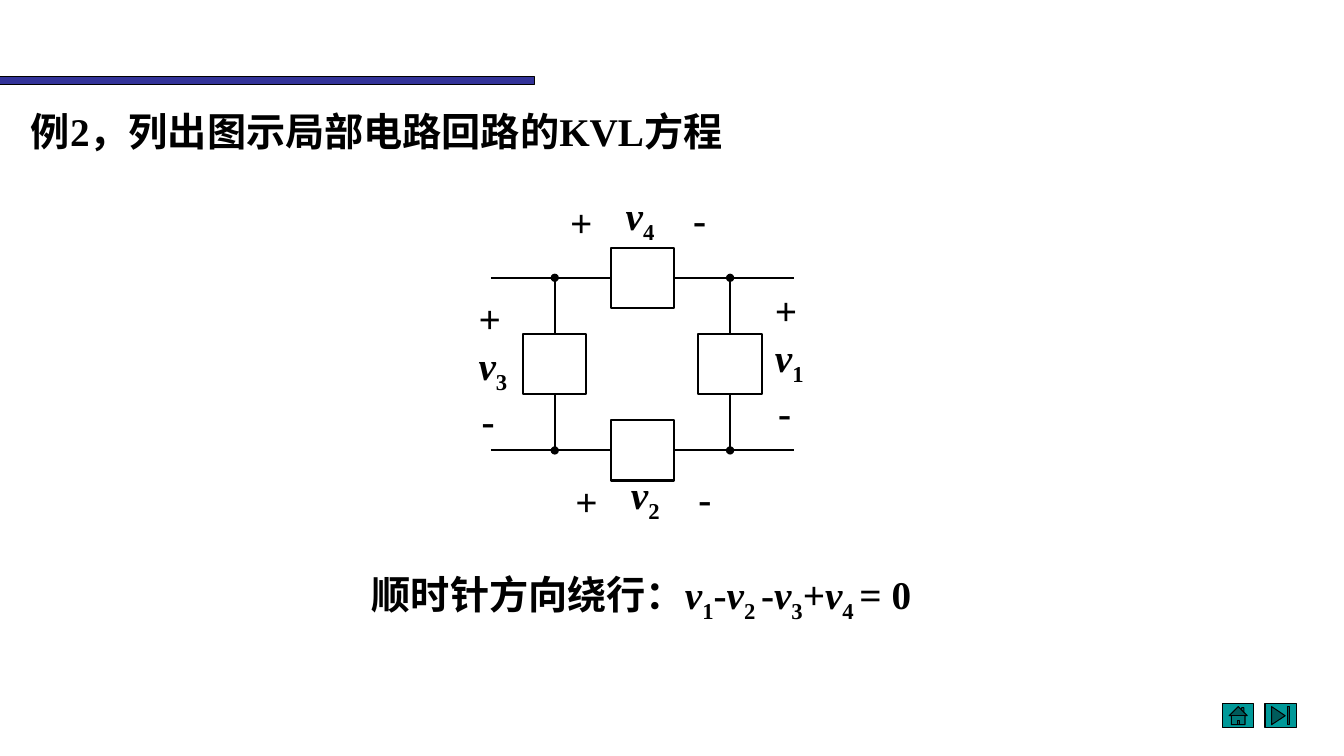
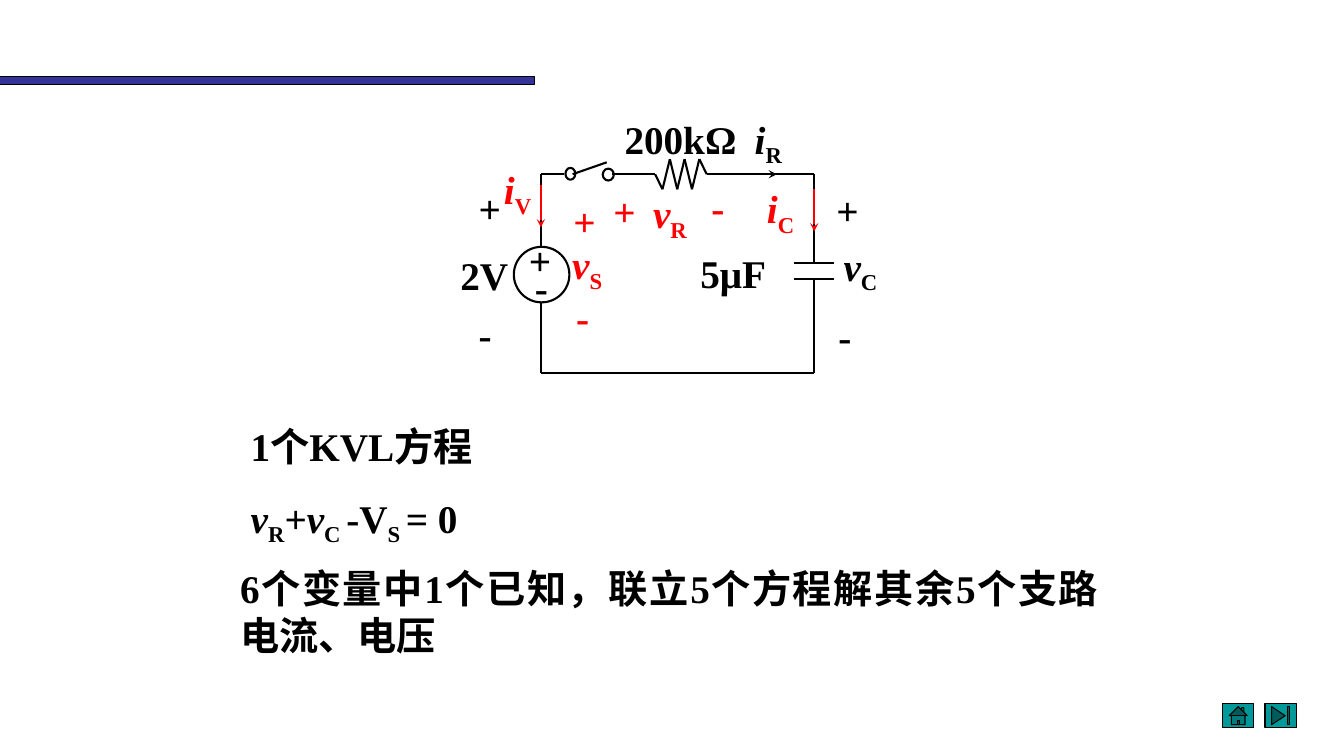
from dataclasses import dataclass
from itertools import pairwise
from typing import NamedTuple

from lxml import etree
from pptx import Presentation
from pptx.dml.color import RGBColor
from pptx.enum.lang import MSO_LANGUAGE_ID
from pptx.enum.shapes import MSO_CONNECTOR, MSO_SHAPE
from pptx.enum.text import MSO_AUTO_SIZE, PP_ALIGN
from pptx.oxml.ns import qn
from pptx.util import Cm, Pt

RECTANGLE = MSO_SHAPE.RECTANGLE
OVAL = MSO_SHAPE.OVAL
HOME_BUTTON = MSO_SHAPE.ACTION_BUTTON_HOME
END_BUTTON = MSO_SHAPE.ACTION_BUTTON_END
STRAIGHT = MSO_CONNECTOR.STRAIGHT
GROW = MSO_AUTO_SIZE.SHAPE_TO_FIT_TEXT
LEFT = PP_ALIGN.LEFT
JUSTIFY = PP_ALIGN.JUSTIFY
CHINESE = MSO_LANGUAGE_ID.SIMPLIFIED_CHINESE

COLORS = {"ink": "000000", "red": "FF0000", "bar": "333399", "button": "009999"}
FONT = "Times New Roman"
FONT_SIZE = Pt(28)
LINE_HEIGHT = 1.45


class Piece(NamedTuple):
    text: str
    italic: bool = False
    subscript: bool = False


def symbol(letter: str, index: str) -> tuple[Piece, ...]:
    return Piece(letter, italic=True), Piece(index, subscript=True)


PLUS = (Piece("+"),)
MINUS = (Piece("-"),)


@dataclass(frozen=True)
class Label:
    pieces: tuple[Piece, ...]
    left: float
    top: float
    width: float
    height: float = LINE_HEIGHT
    color: str = "ink"
    wrap: bool = True
    inset: bool = True
    alignment: PP_ALIGN = LEFT


@dataclass(frozen=True)
class Wire:
    x1: float
    y1: float
    x2: float
    y2: float
    head: str = ""
    tail: str = ""
    color: str = "ink"


@dataclass(frozen=True)
class Outline:
    kind: MSO_SHAPE
    left: float
    top: float
    width: float
    height: float
    fill: str = ""
    weight: float = 1.5


@dataclass(frozen=True)
class Branch:
    index: str
    left: float
    top: float
    vertical: bool

    def labels(self) -> list[Label]:
        if self.vertical:
            offsets = ((0, 0), (0, 1.19), (0.08, 2.57))
        else:
            offsets = ((0, 0.18), (1.4, 0), (3.1, 0.1))
        texts = (PLUS, symbol("v", self.index), MINUS)
        return [
            Label(pieces, self.left + dx, self.top + dy, width, wrap=False)
            for pieces, (dx, dy), width in zip(texts, offsets, (1.07, 1.27, 0.84))
        ]


MASTER_PARTS = [
    Outline(RECTANGLE, 0, 1.93, 13.46, 0.2, "bar", 0.75),
    Outline(HOME_BUTTON, 30.81, 17.73, 0.79, 0.61, "button", 0.75),
    Outline(END_BUTTON, 31.88, 17.73, 0.79, 0.61, "button", 0.75),
]


def rgb(name: str) -> RGBColor:
    return RGBColor.from_string(COLORS[name])


def draw_outline(shapes, outline: Outline):
    shape = shapes.add_shape(outline.kind, Cm(outline.left), Cm(outline.top),
                             Cm(outline.width), Cm(outline.height))
    shape.shadow.inherit = False
    if outline.fill:
        shape.fill.solid()
        shape.fill.fore_color.rgb = rgb(outline.fill)
    else:
        shape.fill.background()
    shape.line.color.rgb = rgb("ink")
    shape.line.width = Pt(outline.weight)
    return shape


def draw_wire(shapes, wire: Wire) -> None:
    connector = shapes.add_connector(STRAIGHT, Cm(wire.x1), Cm(wire.y1),
                                     Cm(wire.x2), Cm(wire.y2))
    connector.line.color.rgb = rgb(wire.color)
    connector.line.width = Pt(1.5)
    properties = connector.element.spPr
    line = properties.find(qn("a:ln"))
    for tag, end in (("a:headEnd", wire.head), ("a:tailEnd", wire.tail)):
        if end:
            etree.SubElement(line, qn(tag), type=end)
    etree.SubElement(properties, qn("a:effectLst"))


def draw_label(shapes, label: Label) -> None:
    box = shapes.add_textbox(Cm(label.left), Cm(label.top),
                             Cm(label.width), Cm(label.height))
    frame = box.text_frame
    frame.word_wrap = label.wrap
    frame.auto_size = GROW
    if not label.inset:
        frame.margin_left = frame.margin_right = 0
        frame.margin_top = frame.margin_bottom = 0
    paragraph = frame.paragraphs[0]
    paragraph.alignment = label.alignment
    for piece in label.pieces:
        run = paragraph.add_run()
        run.text = piece.text
        run.font.name = FONT
        run.font.size = FONT_SIZE
        run.font.bold = True
        run.font.italic = piece.italic
        run.font.color.rgb = rgb(label.color)
        run.font.language_id = CHINESE
        if piece.subscript:
            run._r.get_or_add_rPr().set("baseline", "-25000")


def draw_circuit(shapes, outlines: list[Outline], wires: list[Wire],
                 labels: list[Label]) -> None:
    group = shapes.add_group_shape()
    for outline in outlines:
        draw_outline(group.shapes, outline)
    for wire in wires:
        draw_wire(group.shapes, wire)
    for label in labels:
        draw_label(group.shapes, label)


def fill_master(presentation, slide) -> None:
    tree = presentation.slide_master.element.cSld.spTree
    for number, part in enumerate(MASTER_PARTS, start=101):
        element = draw_outline(slide.shapes, part).element
        element.nvSpPr.cNvPr.set("id", str(number))
        tree.append(element)


def build_loop_slide(slide) -> None:
    draw_label(slide.shapes, Label((Piece("例2，列出图示局部电路回路的KVL方程"),),
                                   0.53, 2.57, 21.79))
    equation = (
        Piece("顺时针方向绕行："), *symbol("v", "1"), Piece("-"), *symbol("v", "2 "),
        Piece("-"), *symbol("v", "3"), Piece("+"), *symbol("v", "4 "), Piece("= 0"),
    )
    draw_label(slide.shapes, Label(equation, 9.12, 14.25, 15.6))

    left, right, top, bottom = 13.98, 18.4, 7.0, 11.35
    stub, half_width, half_height = 1.61, 0.8, 0.76
    middle_x, middle_y = (left + right) / 2, (top + bottom) / 2
    centers = [(middle_x, top), (middle_x, bottom), (left, middle_y), (right, middle_y)]
    elements = [
        Outline(RECTANGLE, x - half_width, y - half_height, 2 * half_width, 2 * half_height)
        for x, y in centers
    ]
    wires = []
    for y in (top, bottom):
        wires += [
            Wire(left - stub, y, left, y, tail="oval"),
            Wire(left, y, middle_x - half_width, y),
            Wire(middle_x + half_width, y, right, y),
            Wire(right, y, right + stub, y, head="oval"),
        ]
    for x in (left, right):
        wires += [
            Wire(x, top, x, middle_y - half_height),
            Wire(x, middle_y + half_height, x, bottom),
        ]
    branches = [
        Branch("4", 14.12, 4.7, False), Branch("2", 14.25, 11.72, False),
        Branch("1", 19.28, 7.09, True), Branch("3", 11.81, 7.29, True),
    ]
    labels = [label for branch in branches for label in branch.labels()]
    draw_circuit(slide.shapes, elements, wires, labels)


def build_capacitor_slide(slide) -> None:
    equation = (
        *symbol("v", "R"), Piece("+"), *symbol("v", "C "), Piece("-V"),
        Piece("S ", subscript=True), Piece("= 0"),
    )
    summary = (Piece("6个变量中1个已知，联立5个方程解其余5个支路电流、电压"),)
    for label in (
        Label((Piece("1个KVL方程"),), 6.07, 10.52, 8.79),
        Label(equation, 6.07, 12.32, 20.19),
        Label(summary, 6.05, 14.22, 21.62, 2.36, inset=False, alignment=JUSTIFY),
    ):
        draw_label(slide.shapes, label)

    left, right, top, bottom = 13.63, 20.52, 4.39, 9.4
    plates, plate_half = (6.63, 7.02), 0.5
    resistor_start, resistor_end, swing = 16.51, 17.81, 0.38
    step = (resistor_end - resistor_start) / 7
    heights = [0, *[swing, -swing] * 3, 0]
    zigzag = [(resistor_start + i * step, top + dy) for i, dy in enumerate(heights)]

    outlines = [
        Outline(OVAL, 14.25, 4.23, 0.25, 0.3),
        Outline(OVAL, 15.19, 4.25, 0.28, 0.3),
        Outline(OVAL, 12.95, 6.22, 1.4, 1.4),
    ]
    wires = [
        Wire(left, top, 14.22, top),
        Wire(15.29, 4.09, 14.43, top),
        Wire(15.42, top, resistor_start, top),
        *[Wire(*start, *end) for start, end in pairwise(zigzag)],
        Wire(resistor_end, top, right, top),
        Wire(18.75, top, 19.58, top, tail="stealth"),
        Wire(left, top, left, 6.2),
        Wire(left, 7.62, left, bottom),
        Wire(left, bottom, right, bottom),
        Wire(right, top, right, plates[0]),
        Wire(right, plates[1], right, bottom),
        *[Wire(right - plate_half, y, right + plate_half, y) for y in plates],
    ]
    labels = [
        Label((Piece("2V"),), 11.35, 6.22, 2.0),
        Label((Piece("200kΩ"),), 15.49, 2.79, 3.86),
        Label((Piece("5μF"),), 17.4, 6.17, 2.74),
        Label(symbol("i", "R"), 18.77, 2.77, 1.7),
        Label(symbol("v", "C"), 21.01, 5.97, 2.0),
        Label(symbol("i", "C"), 19.08, 4.52, 1.7, color="red"),
        Label(symbol("i", "V"), 12.45, 4.04, 1.7, color="red"),
        Label(symbol("v", "R"), 16.21, 4.65, 2.0, color="red"),
        Label(symbol("v", "S"), 14.17, 5.94, 2.0, color="red"),
    ]
    polarities = [
        ((11.81, 4.52), (11.81, 7.7), "ink"),
        ((20.83, 4.57), (20.88, 7.75), "ink"),
        ((13.08, 5.84), (13.23, 6.5), "ink"),
        ((15.21, 4.6), (17.68, 4.5), "red"),
        ((14.2, 4.85), (14.27, 7.26), "red"),
    ]
    for plus, minus, color in polarities:
        labels.append(Label(PLUS, *plus, 1.5, color=color))
        labels.append(Label(MINUS, *minus, 1.32, color=color))
    draw_circuit(slide.shapes, outlines, wires, labels)

    for x, start in ((right, 4.75), (left, 4.65)):
        draw_wire(slide.shapes, Wire(x, start, x, start + 1.08, tail="stealth", color="red"))


def main() -> None:
    presentation = Presentation()
    presentation.slide_width = Cm(33.87)
    presentation.slide_height = Cm(19.05)
    blank = presentation.slide_layouts[6]
    loop_slide = presentation.slides.add_slide(blank)
    fill_master(presentation, loop_slide)
    build_loop_slide(loop_slide)
    build_capacitor_slide(presentation.slides.add_slide(blank))
    presentation.save("out.pptx")


if __name__ == "__main__":
    main()
